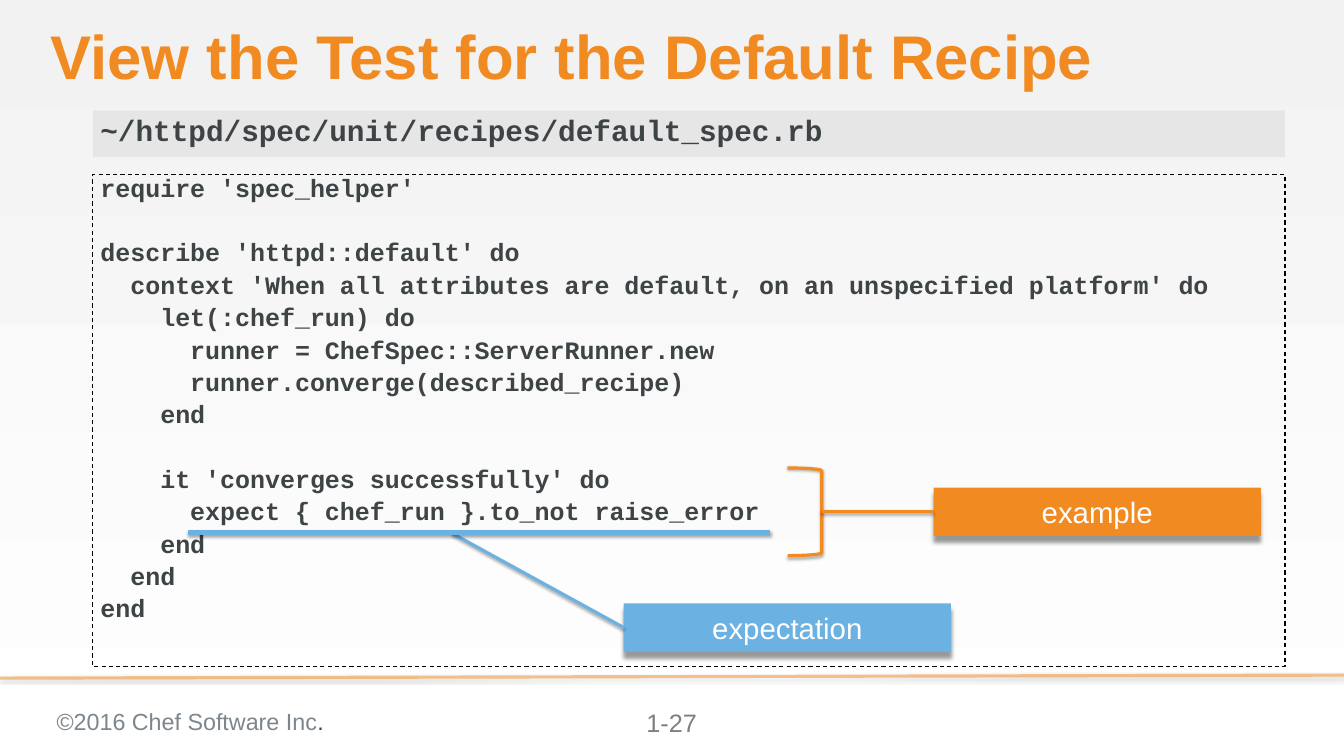
import pptx
import pptx.util
import pptx.dml.color
import pptx.enum.dml
import pptx.enum.shapes
import pptx.enum.text
import pptx.oxml
import pptx.oxml.ns

Inches, Pt = pptx.util.Inches, pptx.util.Pt
RGBColor = pptx.dml.color.RGBColor
ALIGN = pptx.enum.text.PP_ALIGN
ANCHOR = pptx.enum.text.MSO_ANCHOR
SHAPE = pptx.enum.shapes.MSO_SHAPE

ORANGE = RGBColor(0xF1, 0x8B, 0x21)
BLUE = RGBColor(0x6B, 0xB2, 0xE2)
DARK = RGBColor(0x3E, 0x43, 0x46)
SLATE = RGBColor(0x7D, 0x86, 0x8C)
GRAY = RGBColor(0x7F, 0x7F, 0x7F)
LIGHT = RGBColor(0xD9, 0xD9, 0xD9)
PALE = RGBColor(0xF2, 0xF2, 0xF2)
WHITE = RGBColor(0xFF, 0xFF, 0xFF)
BLACK = RGBColor(0, 0, 0)

TITLE = "View the Test for the Default Recipe"
FILE_PATH = "~/httpd/spec/unit/recipes/default_spec.rb"
CODE_BLOCKS = [
    ["require 'spec_helper'"],
    ["describe 'httpd::default' do",
     "  context 'When all attributes are default, on an unspecified platform' do",
     "    let(:chef_run) do",
     "      runner = ChefSpec::ServerRunner.new",
     "      runner.converge(described_recipe)",
     "    end"],
    ["    it 'converges successfully' do",
     "      expect { chef_run }.to_not raise_error",
     "    end",
     "  end",
     "end"],
]
COPYRIGHT = [("©2016 Chef Software Inc", SLATE), (".", DARK)]
PAGE_NUMBER = "1-27"

WIDTH, HEIGHT = 17.78, 10
PANEL_LEFT, PANEL_WIDTH = 1.23, 15.77
LABEL_WIDTH, LABEL_HEIGHT = 4.33, 0.64
LINE_GAP, LINE_PITCH = 8, 30.5
LINE_SHADOW = (35, 3.1, 1.8)
LABEL_SHADOW = (40, 4, 6)


def add_effects(shape, shadow=None):
    """Give a shape a downward shadow (opacity %, blur pt, distance pt) or none."""
    properties = shape._element.spPr
    effects = pptx.oxml.ns.qn("a:effectLst")
    for element in properties.findall(effects):
        properties.remove(element)
    content = ""
    if shadow:
        opacity, blur, distance = shadow
        content = (f'<a:outerShdw blurRad="{Pt(blur)}" dist="{Pt(distance)}" dir="5400000" '
                   f'rotWithShape="0"><a:srgbClr val="000000"><a:alpha val="{opacity * 1000}"/>'
                   '</a:srgbClr></a:outerShdw>')
    properties.append(pptx.oxml.parse_xml(
        f'<a:effectLst {pptx.oxml.ns.nsdecls("a")}>{content}</a:effectLst>'))


def set_half_transparent(container):
    for color in container.iter(pptx.oxml.ns.qn("a:srgbClr")):
        color.append(pptx.oxml.parse_xml(
            f'<a:alpha {pptx.oxml.ns.nsdecls("a")} val="50000"/>'))


def set_font(font, name, size, color, bold=False):
    font.name, font.size, font.bold = name, Pt(size), bold
    font.color.rgb = color


def set_frame(frame, insets, anchor):
    frame.word_wrap = True
    frame.auto_size = pptx.enum.text.MSO_AUTO_SIZE.NONE
    frame.vertical_anchor = anchor
    (frame.margin_left, frame.margin_top,
     frame.margin_right, frame.margin_bottom) = [Inches(inset) for inset in insets]


def add_box(slide, box, fill=None, kind=SHAPE.RECTANGLE):
    shape = slide.shapes.add_shape(kind, *[Inches(value) for value in box])
    if fill is None:
        shape.fill.background()
    else:
        shape.fill.solid()
        shape.fill.fore_color.rgb = fill
    shape.line.fill.background()
    add_effects(shape)
    return shape


def add_label(slide, left, top, text, fill):
    label = add_box(slide, (left, top, LABEL_WIDTH, LABEL_HEIGHT), fill)
    add_effects(label, LABEL_SHADOW)
    set_frame(label.text_frame, (0, 0, 0, 0), ANCHOR.MIDDLE)
    paragraph = label.text_frame.paragraphs[0]
    paragraph.text, paragraph.alignment = text, ALIGN.CENTER
    set_font(paragraph.font, "Arial", 28, WHITE)
    return label


def add_line(slide, start, end, color, width, target=None):
    """Draw a line, ending at the left side of target when one is given."""
    line = slide.shapes.add_connector(
        pptx.enum.shapes.MSO_CONNECTOR.STRAIGHT,
        *[Inches(value) for value in (*start, *end)])
    if target is not None:
        line.end_connect(target, 1)
    line.line.color.rgb, line.line.width = color, Pt(width)
    add_effects(line, LINE_SHADOW)
    return line


def add_code(slide):
    panel = add_box(slide, (PANEL_LEFT, 2.31, PANEL_WIDTH, 6.51))
    panel.line.color.rgb, panel.line.width = BLACK, Pt(1)
    panel.line.dash_style = pptx.enum.dml.MSO_LINE.DASH
    frame = panel.text_frame
    set_frame(frame, (0.1, 0.05, 0.1, 0.05), ANCHOR.TOP)
    for block_index, block in enumerate(CODE_BLOCKS):
        for line_index, code in enumerate(block):
            first = block_index == line_index == 0
            paragraph = frame.paragraphs[0] if first else frame.add_paragraph()
            paragraph.text, paragraph.alignment = code, ALIGN.LEFT
            paragraph.line_spacing = 0.8
            gap = LINE_GAP if line_index else LINE_GAP + LINE_PITCH
            paragraph.space_before = Pt(0 if first else gap)
            set_font(paragraph.font, "Courier New", 23.8, DARK, True)


def add_footer(slide):
    rule = add_line(slide, (WIDTH, 8.93), (0, 8.97), ORANGE, 3)
    set_half_transparent(rule._element.spPr.find(pptx.oxml.ns.qn("a:ln")))
    footers = [((0.65, 9.25, 5.9, 0.52), COPYRIGHT, 22.2, ALIGN.LEFT),
               ((8.1, 9.25, 1.57, 0.57), [(PAGE_NUMBER, GRAY)], 24, ALIGN.CENTER)]
    for box, runs, size, alignment in footers:
        frame = slide.shapes.add_textbox(*[Inches(value) for value in box]).text_frame
        set_frame(frame, (0.1, 0.1, 0.1, 0.1), ANCHOR.TOP)
        paragraph = frame.paragraphs[0]
        paragraph.alignment = alignment
        for text, color in runs:
            run = paragraph.add_run()
            run.text = text
            set_font(run.font, "Arial", size, color)


def main():
    presentation = pptx.Presentation()
    presentation.slide_width, presentation.slide_height = Inches(WIDTH), Inches(HEIGHT)
    slide = presentation.slides.add_slide(presentation.slide_layouts[5])

    background = slide.background.fill
    background.gradient()
    background.gradient_angle = 270
    for stop, color, position in zip(background.gradient_stops, (PALE, WHITE), (0, 1)):
        stop.color.rgb, stop.position = color, position

    add_footer(slide)

    title = slide.shapes.title
    title.left, title.top, title.width, title.height = [
        Inches(value) for value in (0.67, 0.33, 16.33, 0.91)]
    set_frame(title.text_frame, (0, 0, 0, 0), ANCHOR.MIDDLE)
    paragraph = title.text_frame.paragraphs[0]
    paragraph.text, paragraph.alignment = TITLE, ALIGN.LEFT
    paragraph.line_spacing = 0.9
    set_font(paragraph.font, "Arial", 58.7, ORANGE, True)

    add_code(slide)

    path_bar = add_box(slide, (PANEL_LEFT, 1.46, PANEL_WIDTH, 0.62), LIGHT)
    set_half_transparent(path_bar._element.spPr)
    set_frame(path_bar.text_frame, (0.1, 0, 0, 0.1), ANCHOR.MIDDLE)
    paragraph = path_bar.text_frame.paragraphs[0]
    paragraph.text, paragraph.alignment = FILE_PATH, ALIGN.LEFT
    set_font(paragraph.font, "Courier New", 28, DARK, True)

    example = add_label(slide, 12.35, 6.45, "example", ORANGE)
    expectation = add_label(slide, 8.25, 7.98, "expectation", BLUE)
    add_line(slide, (5.99, 7.06), (8.25, 8.3), BLUE, 3, expectation)
    add_line(slide, (2.49, 7.04), (10.19, 7.04), BLUE, 5)

    bracket = add_box(slide, (10.42, 6.19, 0.45, 1.16), kind=SHAPE.RIGHT_BRACKET)
    bracket.line.color.rgb, bracket.line.width = ORANGE, Pt(3)
    add_effects(bracket, LINE_SHADOW)
    add_line(slide, (10.87, 6.77), (12.35, 6.77), ORANGE, 3, example)

    presentation.save("out.pptx")


if __name__ == "__main__":
    main()
